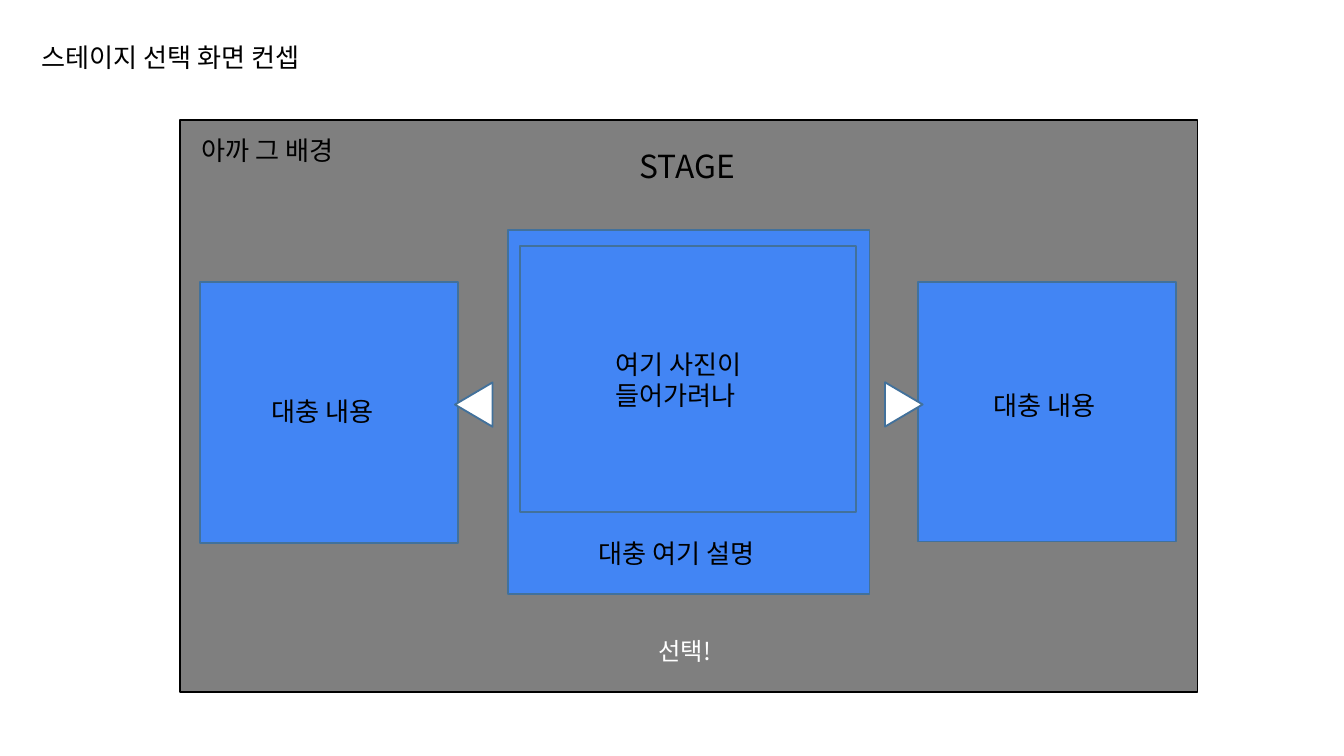
"""Build the stage selection screen concept slide."""
from lxml.etree import SubElement
from pptx import Presentation
from pptx.dml.color import RGBColor
from pptx.enum.shapes import MSO_SHAPE
from pptx.oxml.ns import qn
from pptx.util import Inches, Pt

BLACK = RGBColor(0x00, 0x00, 0x00)
WHITE = RGBColor(0xFF, 0xFF, 0xFF)
GRAY = RGBColor(0x7F, 0x7F, 0x7F)
BLUE = RGBColor(0x42, 0x85, 0xF4)
EDGE = RGBColor(0x42, 0x71, 0x9B)
FONT = "Noto Sans CJK KR"

deck = Presentation()
deck.slide_width = Inches(10)
deck.slide_height = Inches(10 * 9 / 16)
slide = deck.slides.add_slide(deck.slide_layouts[6])


def add_form(kind, box, fill, edge, turn=0):
    form = slide.shapes.add_shape(kind, *map(Inches, box))
    form.shadow.inherit = False
    form.rotation = turn
    for paint, color in [(form.fill, fill), (form.line.fill, edge)]:
        if color is None:
            paint.background()
        else:
            paint.solid()
            paint.fore_color.rgb = color
    if edge is not None:
        form.line.width = Pt(1)


def add_label(lines, box, size=14, color=BLACK):
    frame = slide.shapes.add_textbox(*map(Inches, box)).text_frame
    frame.word_wrap = True
    frame.margin_left = frame.margin_right = Inches(0.07)
    frame.margin_top = frame.margin_bottom = Inches(0.04)
    frame.text = lines
    for para in frame.paragraphs:
        para.font.name = FONT
        para.font.size = Pt(size)
        para.font.color.rgb = color
        SubElement(para.font._element, qn("a:ea"), typeface=FONT)


add_label("스테이지 선택 화면 컨셉", (0.24, 0.27, 2.25, 0.55))

for fill, edge in [(GRAY, None), (None, BLACK)]:
    add_form(MSO_SHAPE.RECTANGLE, (1.34, 0.89, 7.57, 4.26), fill, edge)
add_label("아까 그 배경", (1.43, 0.96, 1.5, 0.31))
add_label("STAGE", (4.69, 1.05, 0.87, 0.36), 17)
add_label("선택!", (4.83, 4.69, 0.59, 0.29), 13, WHITE)

for card in [
    (3.78, 1.71, 2.69, 2.71),
    (6.83, 2.1, 1.92, 1.93),
    (1.49, 2.1, 1.92, 1.94),
]:
    add_form(MSO_SHAPE.RECTANGLE, card, BLUE, EDGE)

for left, turn in [(6.56, 90), (3.36, 270)]:
    add_form(MSO_SHAPE.ISOSCELES_TRIANGLE, (left, 2.87, 0.33, 0.28), WHITE, EDGE, turn)

add_form(MSO_SHAPE.RECTANGLE, (3.87, 1.83, 2.5, 1.98), BLUE, EDGE)
add_label("여기 사진이\n들어가려나", (4.51, 2.55, 1.23, 0.55))
add_label("대충 여기 설명", (4.38, 3.96, 1.46, 0.31))
for left, top in [(7.32, 2.86), (1.95, 2.9)]:
    add_label("대충 내용", (left, top, 0.98, 0.55))

deck.save("out.pptx")
